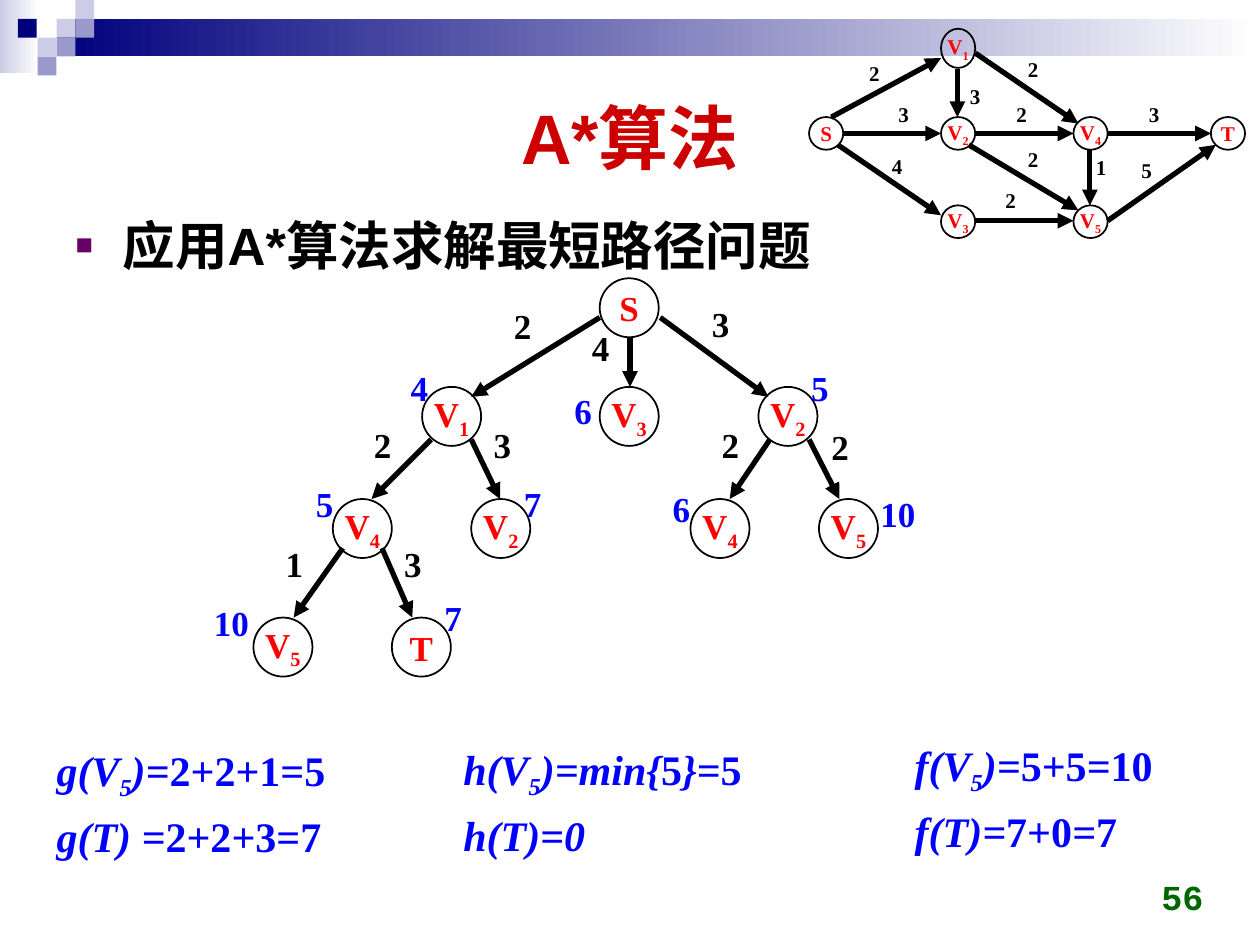
"""Build the A* shortest path slide: road graph, search tree and cost formulas."""
from dataclasses import dataclass

from lxml import etree
from pptx import Presentation
from pptx.dml.color import RGBColor as RGB
from pptx.enum.shapes import MSO_CONNECTOR as LINK, MSO_SHAPE as SHAPE
from pptx.enum.text import MSO_ANCHOR as ANCHOR, MSO_AUTO_SIZE as FIT, PP_ALIGN as ALIGN
from pptx.oxml.ns import qn
from pptx.util import Cm, Pt


@dataclass(frozen=True)
class Theme:
    navy: str = "00007D"
    lilac: str = "CCCCE6"
    violet: str = "9999CC"
    white: str = "FFFFFF"
    black: str = "000000"
    title: str = "CC0000"
    bullet: str = "660066"
    node: str = "FF0000"
    cost: str = "0000FF"
    page: str = "006600"
    sans: str = "Arial"
    serif: str = "Times New Roman"
    mono: str = "Courier New"
    title_size: int = 40
    body_size: int = 30
    formula_size: int = 24
    tree_size: int = 20
    road_size: int = 12


theme = Theme()


def cm(*inches):
    return [Cm(round(2.54 * length, 2)) for length in inches]


def write(frame, lines, size, colour, face=theme.serif, align=ALIGN.LEFT, gap=0):
    """Fill a frame; a run is (text, marks) with i for italic and s for subscript."""
    for number, line in enumerate(lines):
        paragraph = frame.add_paragraph() if number else frame.paragraphs[0]
        paragraph.alignment = align
        paragraph.space_before = Pt(gap if number else 0)
        font = paragraph.font
        font.name, font.size, font.bold = face, Pt(size), True
        font.color.rgb = RGB.from_string(colour)
        for text, marks in line:
            run = paragraph.add_run()
            run.text = text
            if "i" in marks:
                run.font.italic = True
            if "s" in marks:
                run._r.get_or_add_rPr().set("baseline", "-25000")


deck = Presentation()
deck.slide_width, deck.slide_height = cm(10, 7.5)
slide = deck.slides.add_slide(deck.slide_layouts[1])

banner = slide.shapes.add_group_shape().shapes
for left, top, width, height, colours in [
    (0, 0, 0.31, 0.58, [theme.lilac, theme.white]),
    (0.45, 0.15, 9.55, 0.3, [theme.navy, theme.white]),
    (0.45, 0.15, 0.15, 0.15, [theme.lilac]),
    (0.6, 0, 0.15, 0.15, [theme.lilac]),
    (0.6, 0.15, 0.15, 0.15, [theme.violet]),
    (0.3, 0.3, 0.15, 0.15, [theme.lilac]),
    (0.14, 0.15, 0.15, 0.15, [theme.navy]),
    (0.45, 0.3, 0.15, 0.15, [theme.violet]),
    (0.3, 0.45, 0.15, 0.15, [theme.violet]),
]:
    tile = banner.add_shape(SHAPE.RECTANGLE, *cm(left, top, width, height))
    tile.shadow.inherit = False
    tile.line.fill.background()
    if len(colours) == 1:
        tile.fill.solid()
        tile.fill.fore_color.rgb = RGB.from_string(colours[0])
    else:
        tile.fill.gradient()
        tile.fill.gradient_angle = 0
        for stop, colour in zip(tile.fill.gradient_stops, colours):
            stop.color.rgb = RGB.from_string(colour)

heading = slide.shapes.title
heading.left, heading.top, heading.width, heading.height = cm(0.5, 0.5, 9, 1.16)
heading.text_frame.vertical_anchor = ANCHOR.MIDDLE
heading.text_frame.auto_size = FIT.NONE
write(heading.text_frame, [[("A*算法", "")]], theme.title_size, theme.title,
      theme.sans, ALIGN.CENTER)

topic = slide.placeholders[1]
topic.left, topic.top, topic.width, topic.height = cm(0.5, 1.62, 9, 5.2)
topic.text_frame.auto_size = FIT.NONE
topic_line = topic.text_frame.paragraphs[0]
bullet = topic_line._p.get_or_add_pPr()
indent = Cm(0.95)
bullet.set("marL", str(indent))
bullet.set("indent", str(-indent))
bullet_colour = etree.SubElement(bullet, qn("a:buClr"))
etree.SubElement(bullet_colour, qn("a:srgbClr"), val=theme.bullet)
etree.SubElement(bullet, qn("a:buSzPct"), val="55000")
etree.SubElement(bullet, qn("a:buFont"), typeface=theme.sans)
etree.SubElement(bullet, qn("a:buChar"), char="■")
topic_line.line_spacing = 1.05
write(topic.text_frame, [[("应用A*算法求解最短路径问题", "")]], theme.body_size,
      theme.black, theme.sans)

page = slide.shapes.add_textbox(*cm(7.32, 6.83, 2.33, 0.5)).text_frame
page.word_wrap = True
page.vertical_anchor = ANCHOR.BOTTOM
write(page, [[("56", "")]], theme.page_size if hasattr(theme, "page_size") else theme.tree_size,
      theme.page, theme.mono, ALIGN.RIGHT)

# label, left, top, width, height
road_nodes = [
    ("S", 6.42, 0.93, 0.27, 0.26), ("V3", 7.47, 1.63, 0.27, 0.26),
    ("V2", 7.47, 0.93, 0.27, 0.26), ("V1", 7.47, 0.23, 0.27, 0.31),
    ("V4", 8.52, 0.93, 0.27, 0.26), ("V5", 8.52, 1.63, 0.27, 0.26),
    ("T", 9.61, 0.93, 0.27, 0.26),
]
road_edges = [
    (6.6, 0.93, 7.47, 0.46, "2", 6.8, 0.43), (6.69, 1.06, 7.47, 1.06, "3", 7.03, 0.76),
    (6.65, 1.15, 7.47, 1.71, "4", 6.98, 1.17), (7.6, 0.55, 7.6, 0.93, "3", 7.6, 0.61),
    (7.74, 0.42, 8.56, 0.98, "2", 8.06, 0.4), (7.74, 1.06, 8.52, 1.06, "2", 7.97, 0.76),
    (7.69, 1.15, 8.56, 1.67, "2", 8.06, 1.11), (7.74, 1.75, 8.52, 1.75, "2", 7.88, 1.44),
    (8.79, 1.06, 9.61, 1.06, "3", 9.02, 0.76), (8.79, 1.75, 9.65, 1.15, "5", 8.96, 1.2),
    (8.65, 1.19, 8.65, 1.63, "1", 8.6, 1.18),
]
tree_nodes = [(label, left, top, 0.47, 0.47) for label, left, top in [
    ("S", 4.76, 2.21), ("V1", 3.35, 3.07), ("V3", 4.76, 3.07), ("V2", 6.02, 3.07),
    ("V4", 2.64, 3.96), ("V2", 3.74, 3.96), ("V4", 5.48, 3.96), ("V5", 6.5, 3.96),
    ("V5", 2.01, 4.9), ("T", 3.11, 4.9),
]]
tree_edges = [
    (4.76, 2.52, 3.74, 3.15, "2", 3.98, 2.37), (5, 2.68, 5, 3.07, "4", 4.6, 2.54),
    (5.24, 2.52, 6.1, 3.15, "3", 5.55, 2.35), (3.42, 3.49, 2.95, 3.96, "2", 2.87, 3.31),
    (3.74, 3.49, 3.97, 3.96, "3", 3.82, 3.31), (6.11, 3.49, 5.79, 3.96, "2", 5.63, 3.31),
    (6.42, 3.49, 6.66, 3.96, "2", 6.5, 3.33), (2.72, 4.35, 2.33, 4.9, "1", 2.17, 4.26),
    (3.03, 4.35, 3.27, 4.9, "3", 3.11, 4.26),
]
tree_costs = [
    ("4", 3.16, 2.86), ("6", 4.46, 3.04), ("5", 6.34, 2.86), ("5", 2.41, 3.78),
    ("7", 4.06, 3.78), ("6", 5.24, 3.82), ("10", 6.89, 3.86), ("10", 1.6, 4.73),
    ("7", 3.43, 4.69),
]

for canvas, nodes, edges, costs, size, digit_width, label_height in [
    (slide.shapes.add_group_shape().shapes, road_nodes, road_edges, [],
     theme.road_size, 0.29, 0.3),
    (slide.shapes, tree_nodes, tree_edges, tree_costs, theme.tree_size, 0.34, 0.44),
]:
    for label, *bounds in nodes:
        node = canvas.add_shape(SHAPE.OVAL, *cm(*bounds))
        node.shadow.inherit = False
        node.fill.background()
        node.line.color.rgb = RGB.from_string(theme.black)
        node.line.width = Pt(1)
        node.text_frame.word_wrap = False
        node.text_frame.vertical_anchor = ANCHOR.MIDDLE
        runs = [(label[0], "")] + [(index, "s") for index in label[1:]]
        write(node.text_frame, [runs], size, theme.node, align=ALIGN.CENTER)
    for *ends, weight, left, top in edges:
        edge = canvas.add_connector(LINK.STRAIGHT, *cm(*ends))
        edge.line.color.rgb = RGB.from_string(theme.black)
        edge.line.width = Pt(3)
        etree.SubElement(edge.line._get_or_add_ln(), qn("a:tailEnd"), type="triangle")
        etree.SubElement(edge._element.spPr, qn("a:effectLst"))
    weights = [(*edge[4:], theme.black) for edge in edges]
    for value, left, top, colour in weights + [(*cost, theme.cost) for cost in costs]:
        width = digit_width + 0.14 * (len(value) - 1)
        number = canvas.add_textbox(*cm(left, top, width, label_height)).text_frame
        number.word_wrap = False
        number.auto_size = FIT.SHAPE_TO_FIT_TEXT
        write(number, [[(value, "")]], size, colour)

for left, top, width, lines in [
    (0.35, 5.86, 2.37, [[("g(V", "i"), ("5", "is"), (")=", "i"), ("2+2+1=5", "")],
                        [("g(T) =", "i"), ("2+2+3=7", "")]]),
    (3.58, 5.85, 2.45, [[("h(V", "i"), ("5", "is"), (")=min{", "i"), ("5", ""),
                         ("}=", "i"), ("5", "")], [("h(T)=0", "i")]]),
    (7.16, 5.82, 2.12, [[("f(V", "i"), ("5", "is"), (")=", "i"), ("5+5", ""),
                         ("=", "i"), ("10", "")],
                        [("f(T)=", "i"), ("7+0", ""), ("=", "i"), ("7", "")]]),
]:
    formula = slide.shapes.add_textbox(*cm(left, top, width, 0.91)).text_frame
    formula.word_wrap = False
    formula.auto_size = FIT.SHAPE_TO_FIT_TEXT
    write(formula, lines, theme.formula_size, theme.cost, gap=5)

deck.save("out.pptx")
